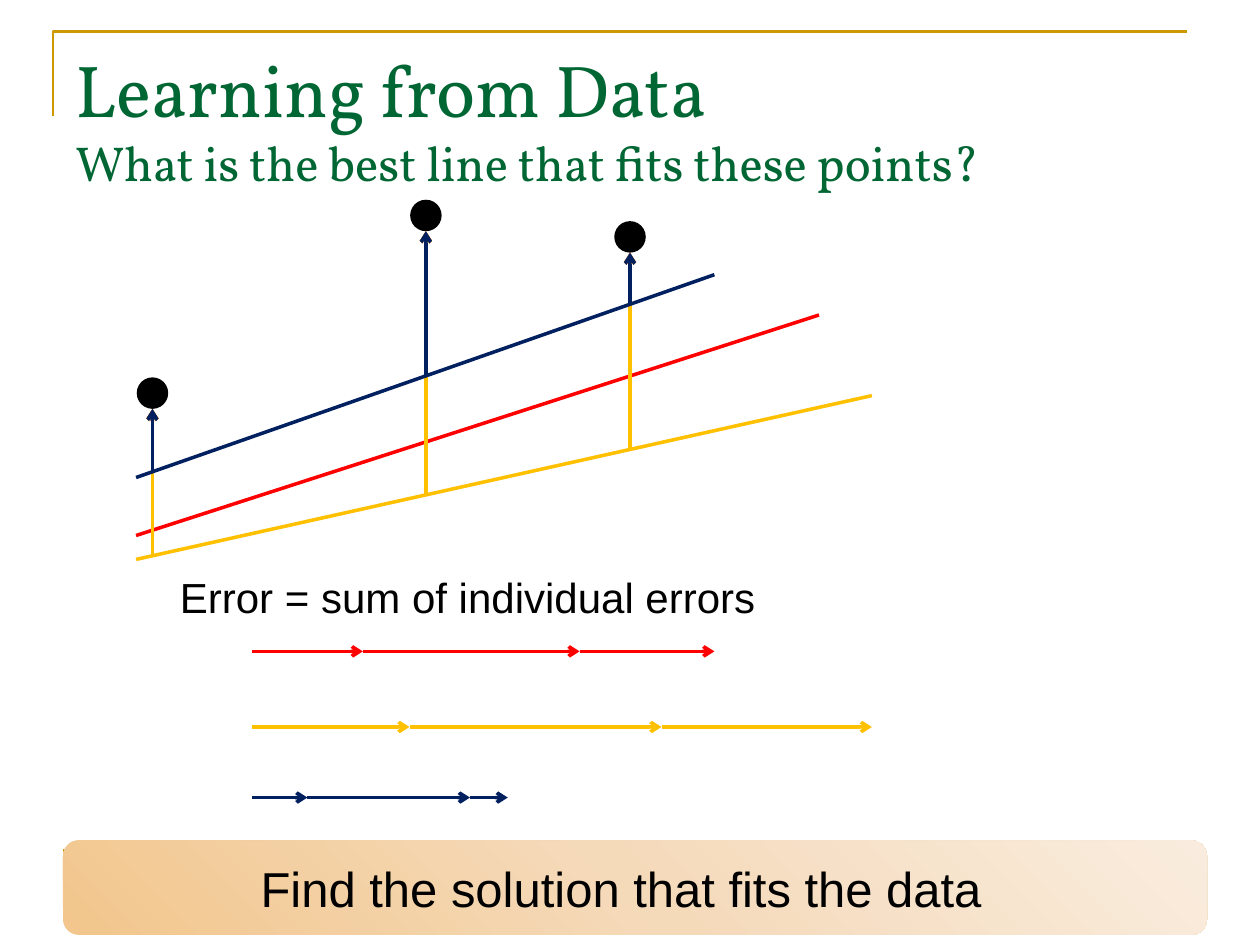
from itertools import pairwise

from lxml import etree
from pptx import Presentation
from pptx.dml.color import RGBColor
from pptx.enum.shapes import MSO_CONNECTOR, MSO_SHAPE
from pptx.enum.text import MSO_ANCHOR, PP_ALIGN
from pptx.oxml.ns import qn
from pptx.util import Inches, Pt

# Content
COLORS = {"gold": "CC9900", "green": "006633", "black": "000000",
          "red": "FF0000", "yellow": "FFC000", "navy": "002060"}
BANNER_GRADIENT = [(0, "F2C68C"), (50, "F5DABA"), (100, "F9ECDE")]
TITLE = [("Learning from Data", 42),
         ("What is the best line that fits these points?", 28)]
ERROR_TEXT = "Error = sum of individual errors"
BANNER_TEXT = "Find the solution that fits the data"

DOT = 0.25
POINTS = [(1.21, 3.12), (3.38, 1.71), (5, 1.88)]  # dot centres
# Each candidate line: its ends, where the errors start on it,
# and the stops of its errors laid end to end
FITS = [
    dict(color="red", ends=(1.08, 4.25, 6.5, 2.5), feet=(4.17, 3.5, 3),
         sum_y=5.17, stops=(2, 2.88, 4.6, 5.67)),
    dict(color="yellow", ends=(1.08, 4.44, 6.92, 3.14), feet=(4.42, 3.92, 3.58),
         sum_y=5.77, stops=(2, 3.25, 5.25, 6.92)),
    dict(color="navy", ends=(1.08, 3.79, 5.67, 2.18), feet=(3.75, 2.98, 2.41),
         sum_y=6.33, stops=(2, 2.44, 3.73, 4.03)),
]

prs = Presentation()
prs.slide_width, prs.slide_height = Inches(10), Inches(7.5)
slide = prs.slides.add_slide(prs.slide_layouts[6])
shapes = slide.shapes


def rgb(name):
    return RGBColor.from_string(COLORS[name])


def add_line(x1, y1, x2, y2, color, width=2, arrow=False):
    line = shapes.add_connector(MSO_CONNECTOR.STRAIGHT,
                                *map(Inches, (x1, y1, x2, y2)))
    line.line.color.rgb = rgb(color)
    line.line.width = Pt(width)
    if arrow:
        etree.SubElement(line.line._get_or_add_ln(), qn("a:tailEnd"), type="arrow")
    etree.SubElement(line._element.spPr, qn("a:effectLst"))


def add_run(paragraph, text, size, font, color):
    run = paragraph.add_run()
    run.text = text
    run.font.size, run.font.name = Pt(size), font
    run.font.color.rgb = rgb(color)


# Frame and title
corner = shapes.build_freeform(Inches(0.42), Inches(0.92))
corner.add_line_segments([(Inches(0.42), Inches(0.25)),
                          (Inches(9.42), Inches(0.25))], close=False)
frame = corner.convert_to_shape()
frame.shadow.inherit = False
frame.fill.background()
frame.line.color.rgb = rgb("gold")
frame.line.width = Pt(1.5)
add_line(0.5, 6.75, 9.5, 6.75, "gold", 1.5)

title = shapes.add_textbox(*map(Inches, (0.5, 0.3, 9, 1.25))).text_frame
title.word_wrap = True
heading = title.paragraphs[0]
for i, (text, size) in enumerate(TITLE):
    if i:
        heading.add_line_break()
    add_run(heading, text, size, "Vollkorn", "green")

# Data points
for x, y in POINTS:
    dot = shapes.add_shape(MSO_SHAPE.OVAL, Inches(x - DOT / 2), Inches(y - DOT / 2),
                           Inches(DOT), Inches(DOT))
    dot.shadow.inherit = False
    dot.fill.solid()
    dot.fill.fore_color.rgb = rgb("black")
    dot.line.fill.background()

# Candidate lines, their errors and the sums of the errors
for fit in FITS:
    color = fit["color"]
    add_line(*fit["ends"], color)
    for (x, y), foot in zip(POINTS, fit["feet"]):
        add_line(x, foot, x, y + DOT / 2, color, arrow=True)
    for start, end in pairwise(fit["stops"]):
        add_line(start, fit["sum_y"], end, fit["sum_y"], color, arrow=True)

label = shapes.add_textbox(*map(Inches, (1.33, 4.49, 5, 0.5))).text_frame
label.word_wrap = False
add_run(label.paragraphs[0], ERROR_TEXT, 24, "Arial", "black")

# Banner
banner = shapes.add_shape(MSO_SHAPE.ROUNDED_RECTANGLE,
                          *map(Inches, (0.5, 6.67, 9.08, 0.75)))
banner.shadow.inherit = False
banner.line.fill.background()
banner.fill.gradient()
grad = banner._element.spPr.find(qn("a:gradFill"))
for child in list(grad):
    grad.remove(child)
stops = etree.SubElement(grad, qn("a:gsLst"))
for share, color in BANNER_GRADIENT:
    stop = etree.SubElement(stops, qn("a:gs"), pos=str(share * 1000))
    etree.SubElement(stop, qn("a:srgbClr"), val=color)
etree.SubElement(grad, qn("a:lin"), ang=str(315 * 60000), scaled="0")

message = banner.text_frame
message.word_wrap = True
message.vertical_anchor = MSO_ANCHOR.MIDDLE
message.margin_right = Inches(0.32)
message.paragraphs[0].alignment = PP_ALIGN.CENTER
add_run(message.paragraphs[0], BANNER_TEXT, 28, "Arial", "black")

prs.save("out.pptx")
